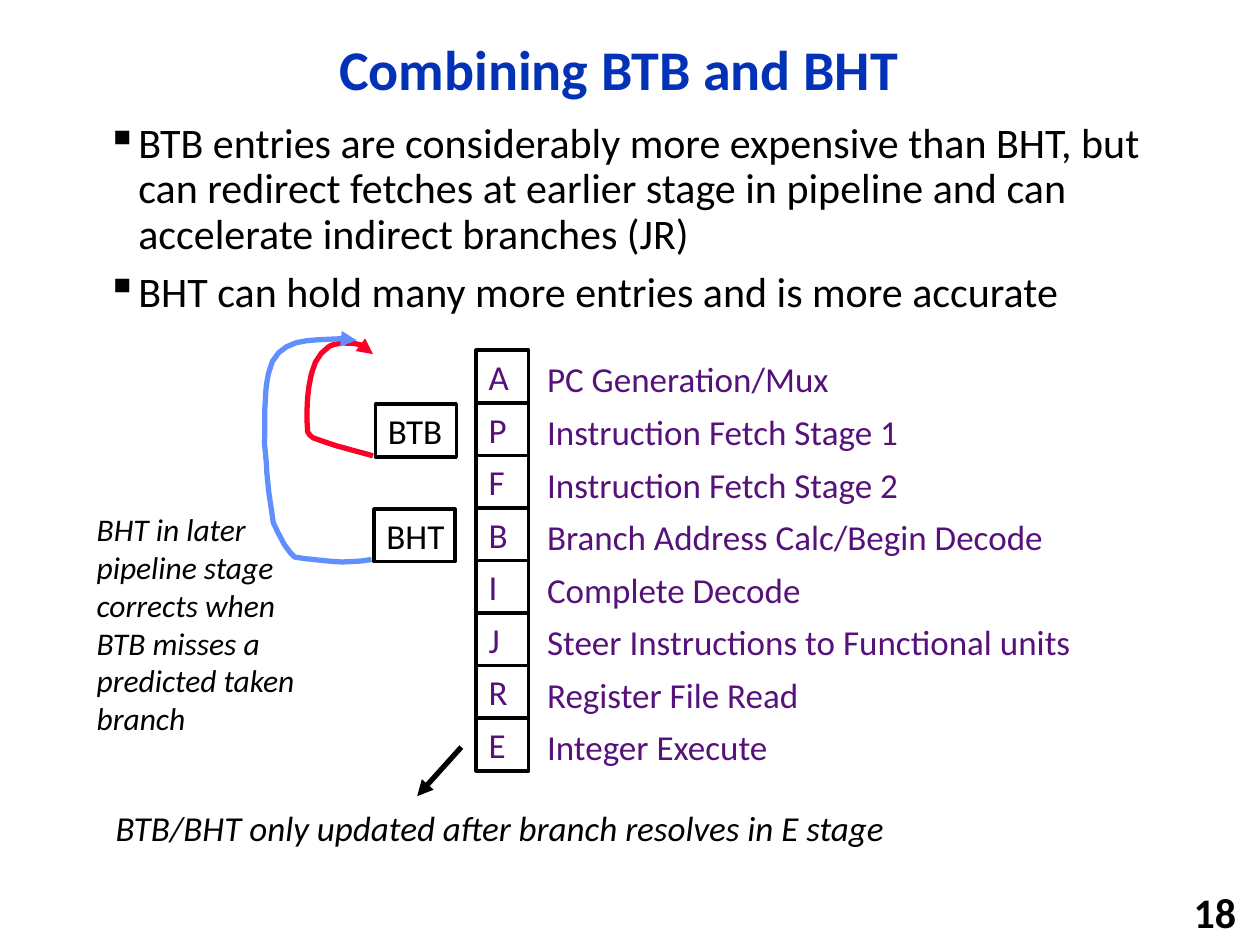
from lxml import etree
from pptx import Presentation
from pptx import util as u
from pptx.dml.color import RGBColor
from pptx.enum import shapes, text
from pptx.oxml.ns import qn

COLORS = {"title": "0332B7", "ink": "000000", "stage": "56127A",
          "paper": "FFFFFF", "btb": "FC0128", "bht": "618FFD"}


def write(shape, lines, size, color="ink", wrap=True, anchor="TOP", bold=False,
          italic=False, para_format=None):
    frame = shape.text_frame
    frame.word_wrap = wrap
    frame.vertical_anchor = getattr(text.MSO_ANCHOR, anchor)
    frame.text = "\n".join(lines)
    font_format = {"name": "Calibri", "size": u.Pt(size), "bold": bold, "italic": italic}
    for para in frame.paragraphs:
        for name, value in (para_format or {"alignment": text.PP_ALIGN.LEFT}).items():
            setattr(para, name, value)
        for span in para.runs:
            for name, value in font_format.items():
                setattr(span.font, name, value)
            span.font.color.rgb = RGBColor.from_string(COLORS[color])


def outline(shape, color, width, arrow=False):
    shape.line.color.rgb = RGBColor.from_string(COLORS[color])
    shape.line.width = u.Pt(width)
    properties = shape._element.spPr
    if arrow:
        line = properties.find(qn("a:ln"))
        etree.SubElement(line, qn("a:tailEnd"), type="triangle")
    if properties.find(qn("a:effectLst")) is None:
        etree.SubElement(properties, qn("a:effectLst"))


deck = Presentation()
deck.slide_width, deck.slide_height = u.Cm(25.4), u.Cm(19.05)
page = deck.slides.add_slide(deck.slide_layouts[5])

title = page.shapes.title
placement = {"left": 2.34, "top": 0.43, "width": 20.27, "height": 2.06}
for name, value in placement.items():
    setattr(title, name, u.Cm(value))
write(title, ["Combining BTB and BHT"], 32, "title", anchor="MIDDLE", bold=True,
      para_format={"alignment": text.PP_ALIGN.CENTER, "line_spacing": 0.9})

points = [
    "BTB entries are considerably more expensive than BHT, but can redirect fetches "
    "at earlier stage in pipeline and can accelerate indirect branches (JR)",
    "BHT can hold many more entries and is more accurate",
]
body = page.shapes.add_textbox(u.Cm(1.9), u.Cm(2.34), u.Cm(21.34), u.Cm(4.45))
write(body, points, 24, para_format={"line_spacing": 0.9, "space_before": u.Pt(7.2)})
for para in body.text_frame.paragraphs:
    properties = para._p.get_or_add_pPr()
    properties.set("marL", str(u.Cm(0.64)))
    properties.set("indent", str(-u.Cm(0.64)))
    etree.SubElement(properties, qn("a:buChar"), char="▪")

number = page.shapes.add_textbox(u.Cm(19.89), u.Cm(17.98), u.Cm(5.28), u.Cm(0.81))
write(number, ["18"], 24, wrap=False, anchor="MIDDLE", bold=True,
      para_format={"alignment": text.PP_ALIGN.RIGHT})

stages = [
    ("A", "PC Generation/Mux"),
    ("P", "Instruction Fetch Stage 1"),
    ("F", "Instruction Fetch Stage 2"),
    ("B", "Branch Address Calc/Begin Decode"),
    ("I", "Complete Decode"),
    ("J", "Steer Instructions to Functional units"),
    ("R", "Register File Read"),
    ("E", "Integer Execute"),
]
side = 1.06
boxes = [("BTB", 7.57, 8.15, 1.63, "ink"), ("BHT", 7.54, 10.26, 1.63, "ink")]
for row, (letter, label) in enumerate(stages):
    top = 7.06 + row * side
    boxes.append((letter, 9.6, top, side, "stage"))
    caption = page.shapes.add_textbox(u.Cm(10.62), u.Cm(top + 0.03), u.Cm(12), u.Cm(1.12))
    write(caption, [" " + label], 20, "stage")

for label, left, top, width, color in boxes:
    box = page.shapes.add_shape(shapes.MSO_SHAPE.RECTANGLE, u.Cm(left), u.Cm(top),
                                u.Cm(width), u.Cm(side))
    box.shadow.inherit = False
    box.fill.solid()
    box.fill.fore_color.rgb = RGBColor.from_string(COLORS["paper"])
    outline(box, "ink", 2)
    write(box, [label], 20, color, wrap=False, anchor="MIDDLE")

curves = {
    "btb": [(752, 919), (714, 907), (673, 899), (635, 884), (627, 881), (620, 874),
            (620, 866), (617, 828), (617, 724), (663, 699), (671, 693), (683, 693),
            (691, 691), (714, 693), (739, 691), (752, 714)],
    "bht": [(749, 1128), (696, 1138), (645, 1130), (594, 1123), (572, 1102), (564, 1080),
            (551, 1054), (541, 998), (538, 947), (533, 892), (536, 846), (531, 800),
            (541, 754), (556, 678), (627, 686), (686, 683), (699, 683), (719, 686),
            (719, 686)],
}
steps = 8
for color, controls in curves.items():
    vertices = []
    for first in range(0, len(controls) - 1, 3):
        for step in range(1, steps + 1):
            t = step / steps
            weights = ((1 - t) ** 3, 3 * t * (1 - t) ** 2, 3 * t ** 2 * (1 - t), t ** 3)
            vertices.append(tuple(
                sum(weight * point[axis]
                    for weight, point in zip(weights, controls[first:first + 4]))
                for axis in (0, 1)))
    builder = page.shapes.build_freeform(*controls[0], scale=u.Cm(0.01))
    builder.add_line_segments(vertices, close=False)
    curve = builder.convert_to_shape()
    curve.shadow.inherit = False
    curve.fill.background()
    outline(curve, color, 3, arrow=True)

notes = [
    ("BHT in later pipeline stage corrects when BTB misses a predicted taken branch",
     18, 1.7, 10.16, 5.11, 4.83),
    ("BTB/BHT only updated after branch resolves in E stage", 20, 2.08, 16.13, 17, 1.12),
]
for words, size, left, top, width, height in notes:
    note = page.shapes.add_textbox(u.Cm(left), u.Cm(top), u.Cm(width), u.Cm(height))
    write(note, [words], size, italic=True)

arrow = page.shapes.add_connector(shapes.MSO_CONNECTOR.STRAIGHT, u.Cm(9.3), u.Cm(15.06),
                                  u.Cm(8.41), u.Cm(16.05))
outline(arrow, "ink", 3, arrow=True)

deck.save("out.pptx")
